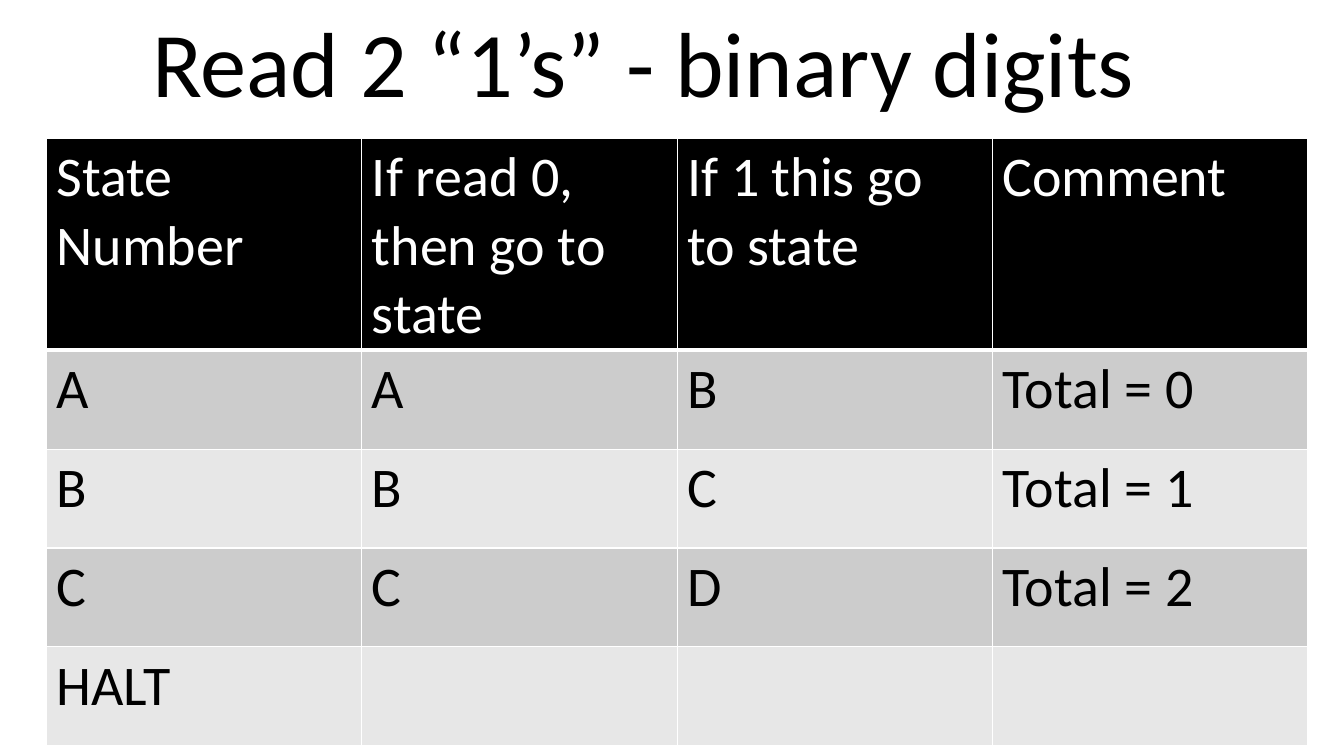
import dataclasses

import pptx
import pptx.dml.color
import pptx.enum.text
import pptx.oxml
import pptx.oxml.ns
import pptx.util

Pt = pptx.util.Pt
RGB = pptx.dml.color.RGBColor.from_string


@dataclasses.dataclass(frozen=True)
class Theme:
    font: str = "Calibri"
    ink: str = "000000"
    paper: str = "FFFFFF"
    bands: tuple = ("CCCCCC", "E7E7E7")
    title: int = 66
    body: int = 40


def apply(target, values):
    for name, value in values.items():
        setattr(target, name, value)


@dataclasses.dataclass
class Deck:
    theme: Theme
    slide: object

    def label(self, frame, text, size, color):
        """Put one styled line of text in a frame."""
        para = frame.paragraphs[0]
        run = para.add_run()
        run.text = text
        apply(run.font, {"name": self.theme.font, "size": Pt(size)})
        run.font.color.rgb = RGB(color)
        return para

    def title(self, text, left, top, width, height):
        box = self.slide.shapes.add_textbox(Pt(left), Pt(top), Pt(width), Pt(height))
        frame = box.text_frame
        apply(frame, {
            "word_wrap": True,
            "auto_size": pptx.enum.text.MSO_AUTO_SIZE.SHAPE_TO_FIT_TEXT,
            "vertical_anchor": pptx.enum.text.MSO_ANCHOR.MIDDLE,
        })
        para = self.label(frame, text, self.theme.title, self.theme.ink)
        para.alignment = pptx.enum.text.PP_ALIGN.CENTER

    def border(self, cell, widths):
        """Draw the cell's edges; widths maps L, R, T, B to points."""
        props = cell._tc.get_or_add_tcPr()
        for side, width in widths.items():
            props.append(pptx.oxml.parse_xml(
                f'<a:ln{side} {pptx.oxml.ns.nsdecls("a")} w="{Pt(width)}">'
                f'<a:solidFill><a:srgbClr val="{self.theme.paper}"/></a:solidFill>'
                f'</a:ln{side}>'))

    def table(self, rows, left, top, width, heights):
        theme = self.theme
        grid = self.slide.shapes.add_table(
            len(rows), len(rows[0]), Pt(left), Pt(top), Pt(width), Pt(sum(heights))).table
        for row, height in zip(grid.rows, heights):
            row.height = Pt(height)
        for col in grid.columns:
            col.width = Pt(width / len(rows[0]))
        for r, texts in enumerate(rows):
            head = r == 0
            fill = theme.ink if head else theme.bands[(r - 1) % 2]
            color = theme.paper if head else theme.ink
            edges = {"L": 1, "R": 1, "T": 3 if r == 1 else 1, "B": 3 if head else 1}
            for c, text in enumerate(texts):
                cell = grid.cell(r, c)
                self.border(cell, edges)
                cell.fill.solid()
                cell.fill.fore_color.rgb = RGB(fill)
                if text:
                    self.label(cell.text_frame, text, theme.body, color)


def main():
    show = pptx.Presentation()
    apply(show, {"slide_width": Pt(960), "slide_height": Pt(540)})
    deck = Deck(Theme(), show.slides.add_slide(show.slide_layouts[6]))

    # Title
    deck.title("Read 2 “1’s” - binary digits", 0, 0, 919.5, 87)

    # State table
    rows = [
        ("State Number", "If read 0, then go to state", "If 1 this go to state", "Comment"),
        ("A", "A", "B", "Total = 0"),
        ("B", "B", "C", "Total = 1"),
        ("C", "C", "D", "Total = 2"),
        ("HALT", "", "", ""),
    ]
    deck.table(rows, 33.3, 99, 900.8, [142] + [70.6] * 4)

    show.save("out.pptx")


if __name__ == "__main__":
    main()
